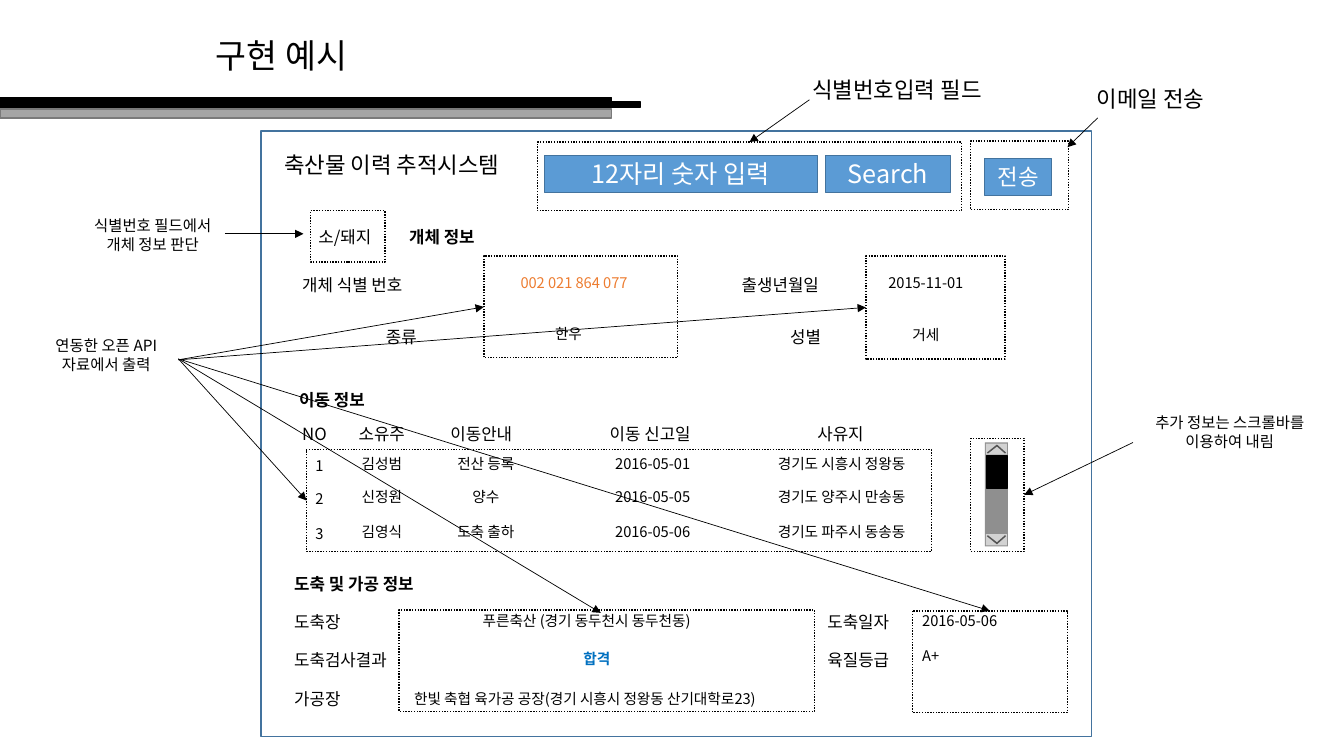
from dataclasses import dataclass

from lxml.etree import SubElement
from pptx import Presentation
from pptx.dml.color import RGBColor
from pptx.enum.dml import MSO_LINE
from pptx.enum.shapes import MSO_CONNECTOR, MSO_SHAPE
from pptx.enum.text import MSO_ANCHOR, MSO_AUTO_SIZE, PP_ALIGN
from pptx.oxml.ns import qn
from pptx.util import Inches, Pt


@dataclass(frozen=True)
class Theme:
    font: str = "Noto Sans CJK KR"
    ink: str = "000000"
    white: str = "FFFFFF"
    blue: str = "5B9BD5"
    edge: str = "43739E"
    gray: str = "A5A5A5"
    gray_edge: str = "7A7A7A"
    track: str = "8F8F8F"
    orange: str = "ED7D31"
    passed: str = "0070C0"
    title: float = 24
    button: float = 18
    callout: float = 16
    field: float = 12
    note: float = 11
    value: float = 10.5


T = Theme()
LEFT, CENTER = PP_ALIGN.LEFT, PP_ALIGN.CENTER
CELL = Inches(0.1)  # the slide is a grid of square cells
COLS, ROWS = 133.33, 75

prs = Presentation()
prs.slide_width, prs.slide_height = round(COLS * CELL), ROWS * CELL
slide = prs.slides.add_slide(prs.slide_layouts[5])
shapes = slide.shapes


def box(x, y, w, h, fill=None, line=None, dash=None):
    """Add a rectangle, placed in grid cells."""
    sp = shapes.add_shape(MSO_SHAPE.RECTANGLE, *(round(v * CELL) for v in (x, y, w, h)))
    sp.shadow.inherit = False
    if fill:
        sp.fill.solid()
        sp.fill.fore_color.rgb = RGBColor.from_string(fill)
    else:
        sp.fill.background()
    if line:
        sp.line.color.rgb = RGBColor.from_string(line)
        sp.line.width = Pt(1)
        sp.line.dash_style = dash
    else:
        sp.line.fill.background()
    return sp


def write(sp, text, size, align=LEFT, color=T.ink, bold=False, anchor=MSO_ANCHOR.TOP):
    tf = sp.text_frame
    tf.text = text
    tf.word_wrap = True
    tf.vertical_anchor = anchor
    for p in tf.paragraphs:
        p.alignment = align
        p.font.size, p.font.bold, p.font.name = Pt(size), bold, T.font
        p.font.color.rgb = RGBColor.from_string(color)
        SubElement(p._p.pPr.find(qn("a:defRPr")), qn("a:ea"), typeface=T.font)


# Title and the bars under it
title = shapes.title
title.left, title.top, title.width, title.height = (round(v * CELL) for v in (20.4, 3, 25.8, 5))
write(title, "구현 예시", T.title)
title.text_frame.auto_size = MSO_AUTO_SIZE.NONE
box(0, 9.7, 60.7, 0.9, T.ink, T.ink)
box(1.7, 10.1, 61.8, 0.6, T.ink, T.ink)
box(0, 10.8, 60.7, 0.9, T.gray, T.gray_edge)

# Window with its buttons
box(25.9, 13, 82.4, 60.1, line=T.edge)
for x, y, w, text, size in (
    (54, 15.4, 27.1, "12자리 숫자 입력", T.button),
    (81.9, 15.4, 12.4, "Search", T.button),
    (97.7, 15.7, 6.6, "전송", T.callout),
):
    write(box(x, y, w, 3.7, T.blue, T.edge), text, size, CENTER, T.white, anchor=MSO_ANCHOR.MIDDLE)

# Dotted frames around the explained areas
search, mail, kind, identity, birth, moves, scroll, plant, grade = (
    box(*place, line=T.ink, dash=MSO_LINE.ROUND_DOT)
    for place in (
        (53.3, 14.1, 42.1, 6.8),
        (96.3, 14, 9.7, 6.8),
        (30.8, 20.9, 7.4, 5.1),
        (48, 25.4, 19.2, 10.1),
        (85.9, 25.4, 13.8, 10.2),
        (30.4, 44.6, 62, 10.1),
        (96.3, 43.5, 5.3, 11.2),
        (39.6, 60.5, 41.2, 10.1),
        (90.5, 60.6, 15.4, 10.1),
    )
)

# Scroll bar
box(97.7, 43.9, 2.3, 10.3, T.track)
for button_y, tip_y, down in ((44, 44.1, 1), (53, 54, -1)):
    button = box(97.8, button_y, 2.1, 1.1, T.white)
    outline = [
        (round(x * CELL), round((tip_y + down * dy) * CELL))
        for x, dy in ((97.9, 0.8), (98.9, 0), (99.8, 0.8), (99.7, 0.9), (98.9, 0.2), (98, 0.9))
    ]
    builder = shapes.build_freeform(*outline[0])
    builder.add_line_segments(outline[1:], close=True)
    chevron = builder.convert_to_shape()
    chevron.shadow.inherit = False
    chevron.line.fill.background()
    for part, color in ((button, T.white), (chevron, T.ink)):
        part.fill.solid()
        part.fill.fore_color.rgb = RGBColor.from_string(color)
        SubElement(part._element.spPr.find(".//" + qn("a:srgbClr")), qn("a:alpha"), val="60000")
box(97.9, 45.2, 2, 3.3, T.ink, T.ink)

# Movement table: column left, width, alignment, heading left, heading width, heading
columns = (
    (30.3, 2.6, LEFT, 29, 5, "NO"),
    (34.9, 6.8, LEFT, 34.6, 7.7, "소유주"),
    (43.5, 9.4, CENTER, 43.7, 9, "이동안내"),
    (59.3, 10.9, CENTER, 59.5, 13.1, "이동 신고일"),
    (74.6, 17.8, CENTER, 80.1, 8.1, "사유지"),
)
records = (
    (44.6, "1", "김성범", "전산 등록", "2016-05-01", "경기도 시흥시 정왕동"),
    (47.9, "2", "신정원", "양수", "2016-05-05", "경기도 양주시 만송동"),
    (51.4, "3", "김영식", "도축 출하", "2016-05-06", "경기도 파주시 동송동"),
)
headings = [(x, 41.5, w, text) for *_, x, w, text in columns]
cells = [
    (x, y + (0.2 if text.isdigit() else 0), w, text, align)
    for y, *texts in records
    for (x, w, align, *_), text in zip(columns, texts)
]

# Labels by type size: left, top, width, text, then alignment, colour and bold where they differ
labels = {
    (T.callout, 3.7): [
        (27.2, 14.5, 25.9, "축산물 이력 추적시스템"),
        (79.6, 7.1, 21.4, "식별번호입력 필드"),
        (107.8, 8, 21.4, "이메일 전송"),
    ],
    (T.field, 3): headings + [
        (39.6, 22, 12.1, "개체 정보", LEFT, T.ink, True),
        (28.7, 38.2, 25.9, "이동 정보", LEFT, T.ink, True),
        (28.2, 56.4, 25.9, "도축 및 가공 정보", LEFT, T.ink, True),
        (30.6, 22, 8.2, "소/돼지"),
        (29, 26.8, 14.8, "개체 식별 번호"),
        (37.3, 31.9, 6.3, "종류"),
        (72.6, 26.8, 14.8, "출생년월일"),
        (77.4, 31.9, 7, "성별"),
        (28.2, 60.2, 8.4, "도축장"),
        (28.2, 64, 15.2, "도축검사결과"),
        (28.2, 67.8, 8.4, "가공장"),
        (81.1, 60.2, 10.4, "도축일자"),
        (81.1, 64, 15.2, "육질등급"),
    ],
    (T.value, 2.8): cells + [
        (42.9, 26.7, 28.1, "002 021 864 077", CENTER, T.orange),
        (51.7, 31.7, 9.4, "한우", CENTER),
        (83.6, 26.7, 16.5, "2015-11-01", CENTER),
        (83.6, 31.8, 16.5, "거세", CENTER),
        (46.9, 60.2, 30.2, "푸른축산 (경기 동두천시 동두천동)"),
        (56.9, 64, 5.3, "합격", LEFT, T.passed, True),
        (40.1, 67.9, 40.2, "한빛 축협 육가공 공장(경기 시흥시 정왕동 산기대학로23)"),
        (90.5, 60.2, 11.5, "2016-05-06"),
        (90.5, 63.7, 11.5, "A+"),
    ],
    (T.note, 4.7): [
        (7.4, 21, 15.5, "식별번호 필드에서 개체 정보 판단", CENTER),
        (2.8, 32.9, 15.5, "연동한 오픈 API\n자료에서 출력", CENTER),
        (112.4, 40.5, 19.2, "추가 정보는 스크롤바를 이용하여 내림", CENTER),
    ],
}
for (size, h), items in labels.items():
    for x, y, w, text, *style in items:
        sp = shapes.add_textbox(*(round(v * CELL) for v in (x, y, w, h)))
        write(sp, text, size, *style)
        sp.text_frame.auto_size = MSO_AUTO_SIZE.SHAPE_TO_FIT_TEXT

# Arrows from the notes: start, end, and the frame side they join (0 top, 1 left, 3 right)
for x1, y1, x2, y2, *joint in (
    (80.3, 9.9, 74.4, 14.1, search, 0),
    (108.9, 11.7, 105.9, 14.6),
    (22.3, 23.2, 30.1, 23.2),
    (17.7, 35.7, 48, 30.5, identity, 1),
    (17.7, 35.7, 85.9, 30.5, birth, 1),
    (17.7, 35.6, 30.4, 49.7, moves, 1),
    (17.7, 35.6, 59.6, 60.8),
    (18, 35.7, 98.2, 60.6, grade, 0),
    (112.4, 43.9, 101.6, 49.1, scroll, 3),
):
    arrow = shapes.add_connector(
        MSO_CONNECTOR.STRAIGHT, *(round(v * CELL) for v in (x1, y1, x2, y2))
    )
    if joint:
        arrow.end_connect(*joint)
    arrow.line.color.rgb = RGBColor.from_string(T.ink)
    arrow.line.width = Pt(0.5)
    SubElement(arrow.line._get_or_add_ln(), qn("a:tailEnd"), type="triangle")
    SubElement(arrow._element.spPr, qn("a:effectLst"))

prs.save("out.pptx")
